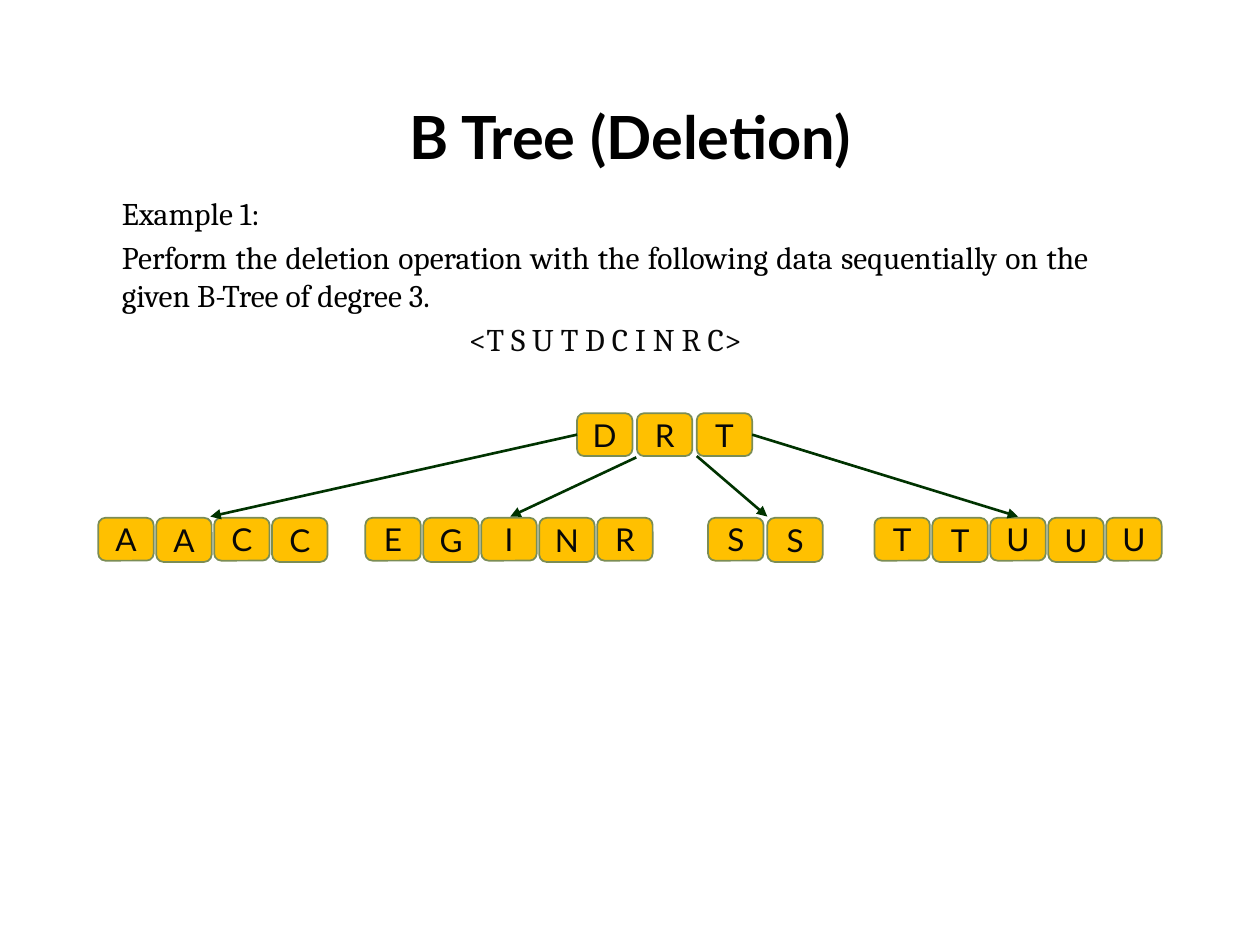
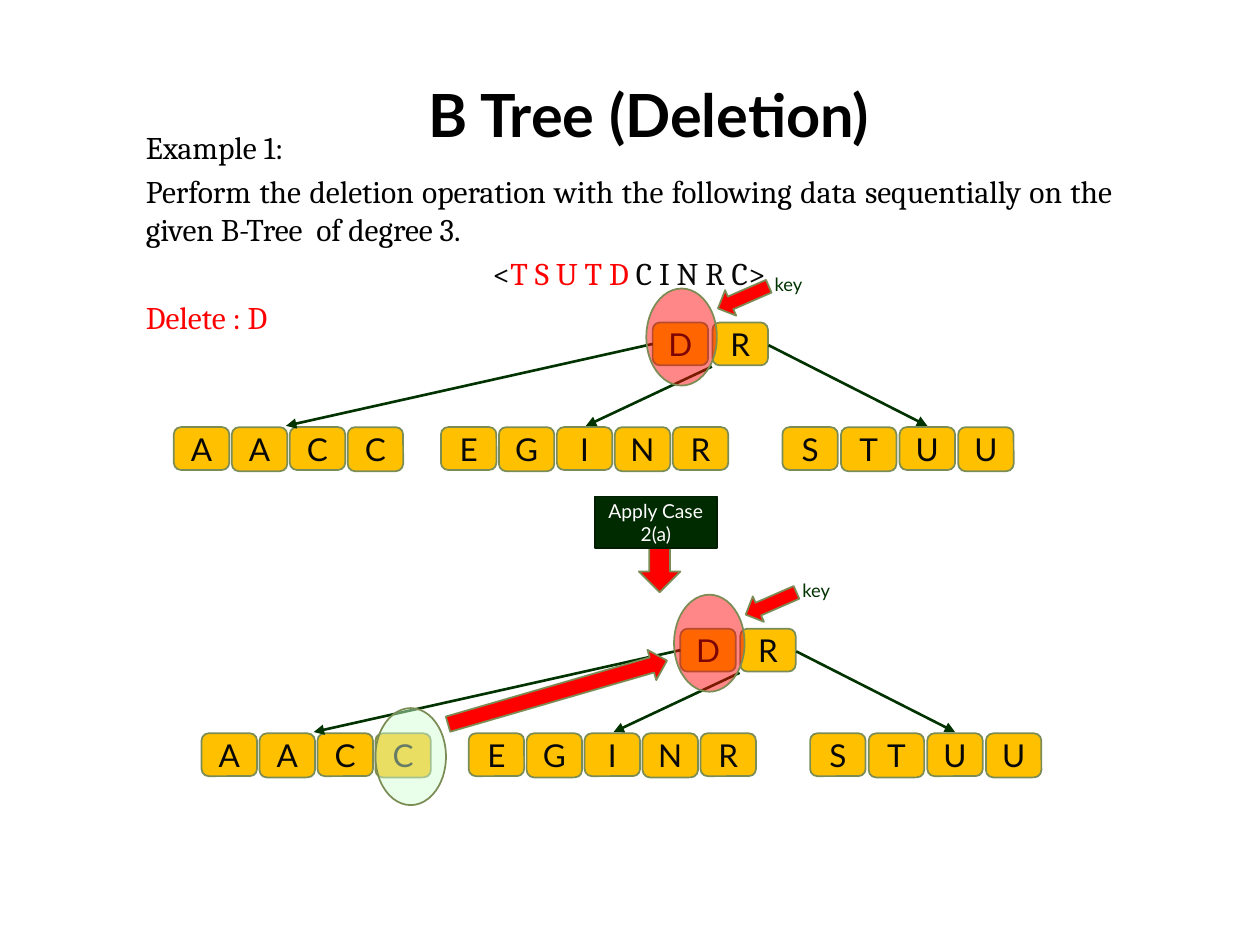
from pptx import Presentation
from pptx.dml.color import RGBColor
from pptx.enum.shapes import MSO_CONNECTOR, MSO_SHAPE
from pptx.enum.text import MSO_ANCHOR, PP_ALIGN
from pptx.oxml.ns import qn
from pptx.util import Inches, Pt
from lxml.etree import SubElement

INK, RED, GOLD = "080808", "FF0000", "FFC000"
EDGE, GREEN, MINT = "7B8D55", "003300", "D1FFD1"
DARK, RIM, BLACK, WHITE = "002A00", "001F00", "000000", "FFFFFF"
KEY_W, KEY_H, ROOT_STEP = 0.44, 0.34, 0.475
TITLE = dict(name="Lato", size=Pt(34), bold=True)
BODY = dict(name="Cambria", size=Pt(18))
NODE = dict(name="Lato", size=Pt(18))
NOTE = dict(name="Lato", size=Pt(10.5))
CASE = dict(name="Lato", size=Pt(11))


def color(code):
    return RGBColor.from_string(code)


def style(item, values):
    for name, value in values.items():
        setattr(item, name, value)


def write(para, text, font, code, align=PP_ALIGN.LEFT):
    para.alignment = align
    run = para.add_run()
    run.text = text
    style(run.font, font)
    run.font.color.rgb = color(code)


def textbox(slide, box, anchor=MSO_ANCHOR.TOP):
    frame = slide.shapes.add_textbox(*map(Inches, box)).text_frame
    style(frame, dict(word_wrap=True, vertical_anchor=anchor))
    return frame


def shape(slide, kind, box, fill, edge=EDGE, turn=0, alpha=None):
    item = slide.shapes.add_shape(kind, *map(Inches, box))
    item.shadow.inherit = False
    item.rotation = turn
    item.fill.solid()
    item.fill.fore_color.rgb = color(fill)
    item.line.color.rgb = color(edge)
    item.line.width = Pt(1)
    if alpha:
        tint = item._element.spPr.find(qn("a:solidFill"))[0]
        SubElement(tint, qn("a:alpha"), val=str(alpha * 1000))
    return item


def label(item, text, font, code, inset):
    frame = item.text_frame
    style(frame, dict(word_wrap=True, vertical_anchor=MSO_ANCHOR.MIDDLE,
                      margin_left=Inches(inset), margin_right=Inches(inset),
                      margin_top=0, margin_bottom=0))
    write(frame.paragraphs[0], text, font, code, PP_ALIGN.CENTER)


def arrow(slide, start, end):
    link = slide.shapes.add_connector(
        MSO_CONNECTOR.STRAIGHT, *map(Inches, start + end))
    link.line.color.rgb = color(GREEN)
    link.line.width = Pt(1.5)
    SubElement(link.line._get_or_add_ln(), qn("a:tailEnd"), type="triangle")
    SubElement(link._element.spPr, qn("a:effectLst"))


def keys(slide, x, y, step, text, grow=0):
    for i, key in enumerate(text):
        box = (x + i * step, y, KEY_W, KEY_H + grow * (i % 2))
        node = shape(slide, MSO_SHAPE.ROUNDED_RECTANGLE, box, GOLD)
        label(node, key, NODE, INK, 0)


def tree(slide, x, y, root, leaves, links):
    keys(slide, x, y, ROOT_STEP, root)
    for dx, step, text in leaves:
        keys(slide, x + dx, y + 0.83, step, text, 0.01)
    for x1, y1, x2 in links:
        arrow(slide, (x + x1, y + y1), (x + x2, y + 0.82))


def mark(slide, x, y):
    shape(slide, MSO_SHAPE.OVAL, (x - 0.05, y - 0.27, 0.56, 0.77), RED, alpha=47)
    shape(slide, MSO_SHAPE.LEFT_ARROW, (x + 0.5, y - 0.31, 0.44, 0.22),
          RED, turn=336.4)
    frame = textbox(slide, (x + 0.87, y - 0.44, 0.46, 0.28))
    write(frame.paragraphs[0], "key", NOTE, GREEN)


def case(slide, x, y):
    shape(slide, MSO_SHAPE.RIGHT_ARROW, (x + 0.31, y + 0.39, 0.41, 0.33),
          RED, turn=90)
    item = shape(slide, MSO_SHAPE.RECTANGLE, (x, y, 0.97, 0.41), DARK, RIM)
    label(item, "Apply Case 2(a)", CASE, WHITE, 0.1)


def heading(slide, x, y):
    frame = textbox(slide, (x, y, 9, 0.79), MSO_ANCHOR.MIDDLE)
    write(frame.paragraphs[0], "B Tree (Deletion)", TITLE, BLACK,
          PP_ALIGN.CENTER)


def task(slide, box, lines):
    frame = textbox(slide, box)
    for i, (align, runs) in enumerate(lines):
        para = frame.add_paragraph() if i else frame.paragraphs[0]
        para.space_before = Pt(3.6)
        for text, code in runs:
            write(para, text, BODY, code, align)


def intro(gap):
    ask = ("Perform the deletion operation with the following data "
           f"sequentially on the given B-Tree{gap}of degree 3.")
    return [(PP_ALIGN.JUSTIFY, [(text, BLACK)]) for text in ("Example 1:", ask)]


LEFT = [(-3.8, 0.46, "AACC"), (-1.68, 0.46, "EGINR")]
LINKS = [(0, 0.17, -2.91), (0.47, 0.35, -0.53)]


def first(slide):
    heading(slide, 0.5, 0.68)
    data = (PP_ALIGN.CENTER, [("<T S U T D C I N R C>", INK)])
    task(slide, (0.87, 1.49, 7.87, 4.74), intro(" ") + [data])
    tree(slide, 4.58, 3.28, "DRT",
         LEFT + [(1.04, 0.47, "SS"), (2.36, 0.46, "TTUUU")],
         LINKS + [(0.95, 0.34, 1.51), (1.39, 0.17, 3.5)])


def second(slide):
    heading(slide, 0.65, 0.51)
    data = (PP_ALIGN.CENTER,
            [("<", INK), ("T S U T D", RED), (" C I N R C>", INK)])
    drop = (PP_ALIGN.LEFT, [("Delete : D", RED)])
    task(slide, (1.06, 0.97, 7.87, 1.86), intro("  ") + [data, drop])
    for x, y in ((5.18, 2.56), (5.4, 4.99)):
        tree(slide, x, y, "DR", LEFT + [(1.03, 0.465, "STUU")],
             LINKS + [(0.92, 0.18, 2.18)])
        mark(slide, x, y)
    case(slide, 4.72, 3.94)
    shape(slide, MSO_SHAPE.OVAL, (2.98, 5.62, 0.56, 0.77), MINT, alpha=47)
    shape(slide, MSO_SHAPE.RIGHT_ARROW, (3.52, 5.37, 1.81, 0.25),
          RED, turn=343.8)


def main():
    deck = Presentation()
    style(deck, dict(slide_width=Inches(10), slide_height=Inches(7.5)))
    for build in (first, second):
        build(deck.slides.add_slide(deck.slide_layouts[6]))
    deck.save("out.pptx")


if __name__ == "__main__":
    main()
